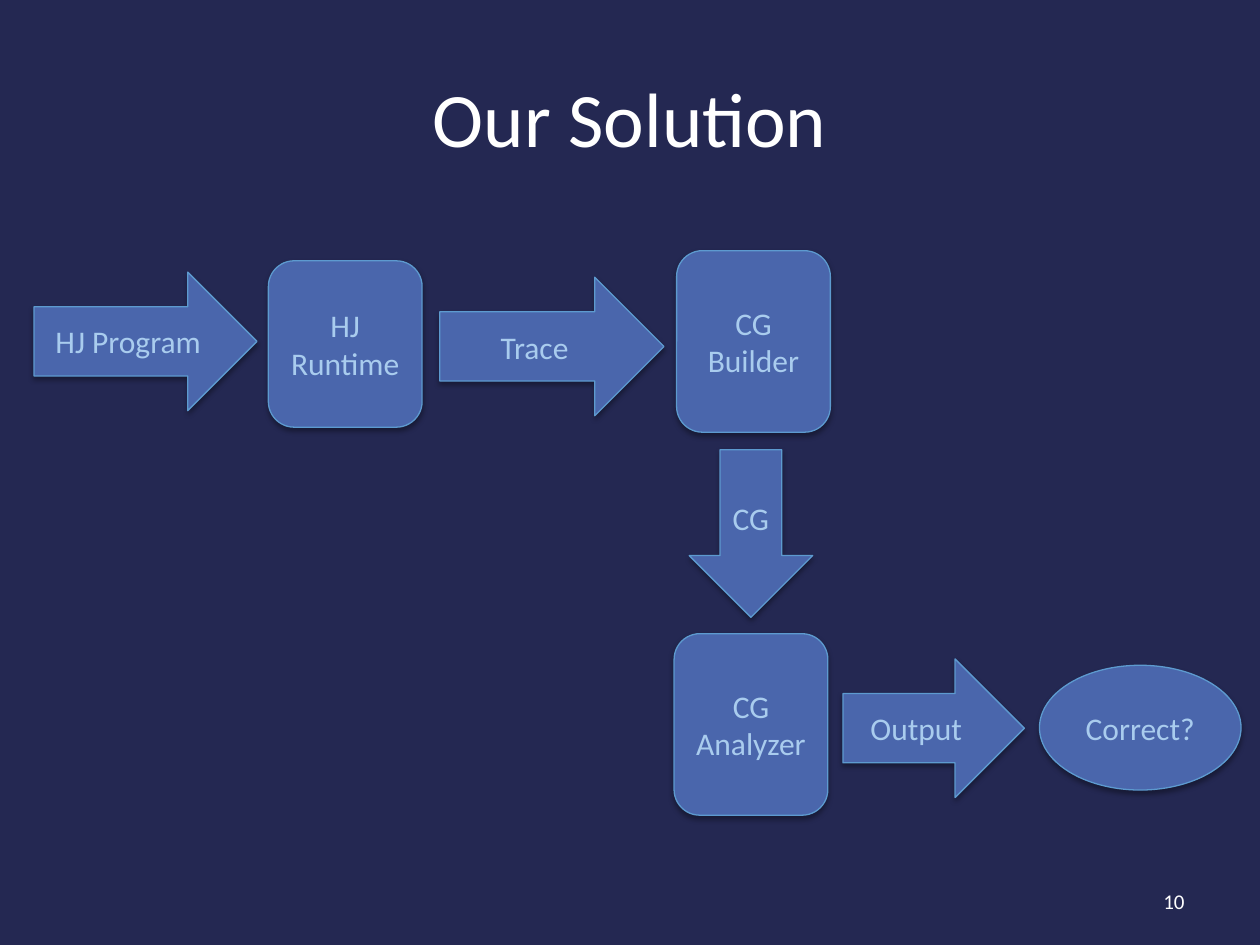
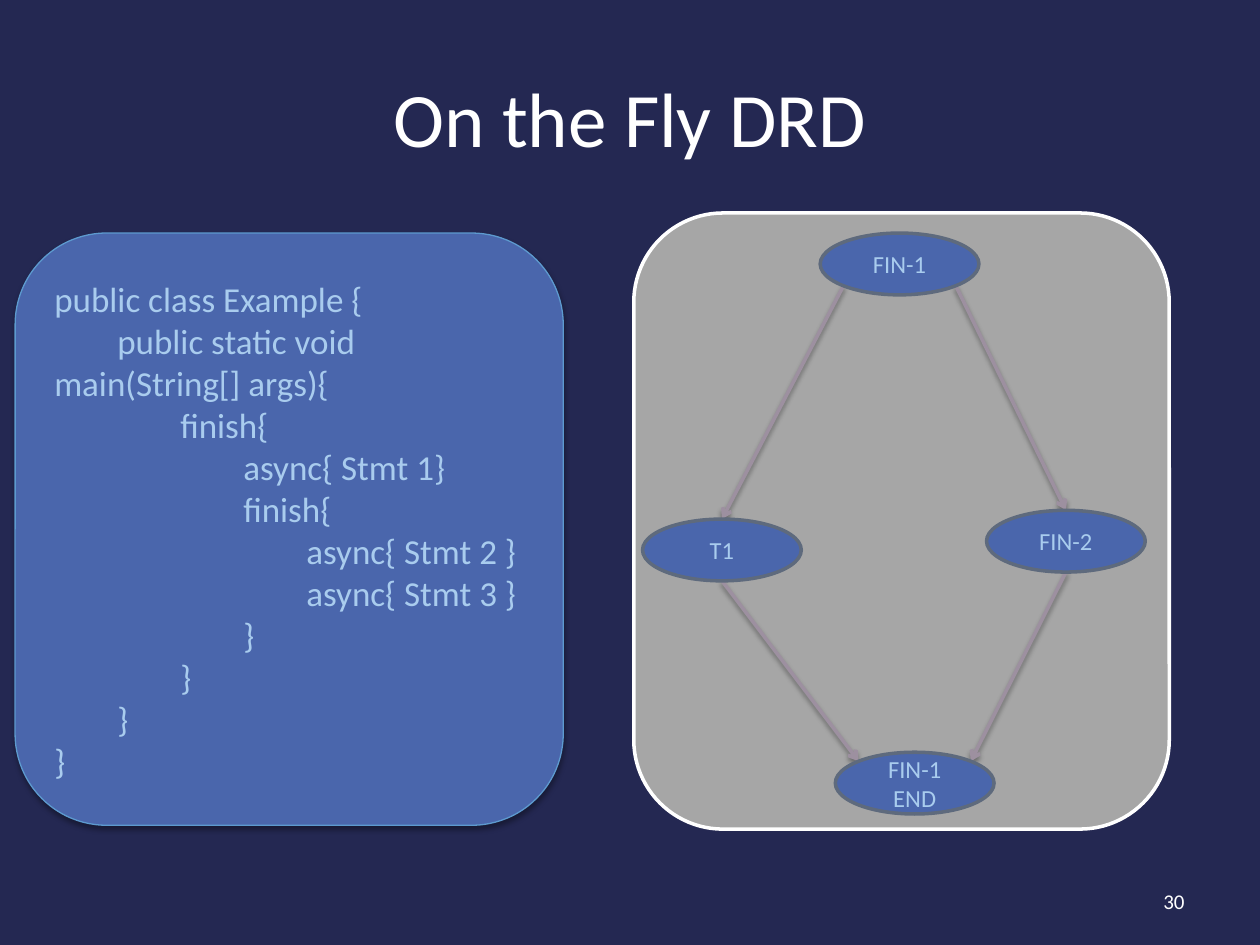
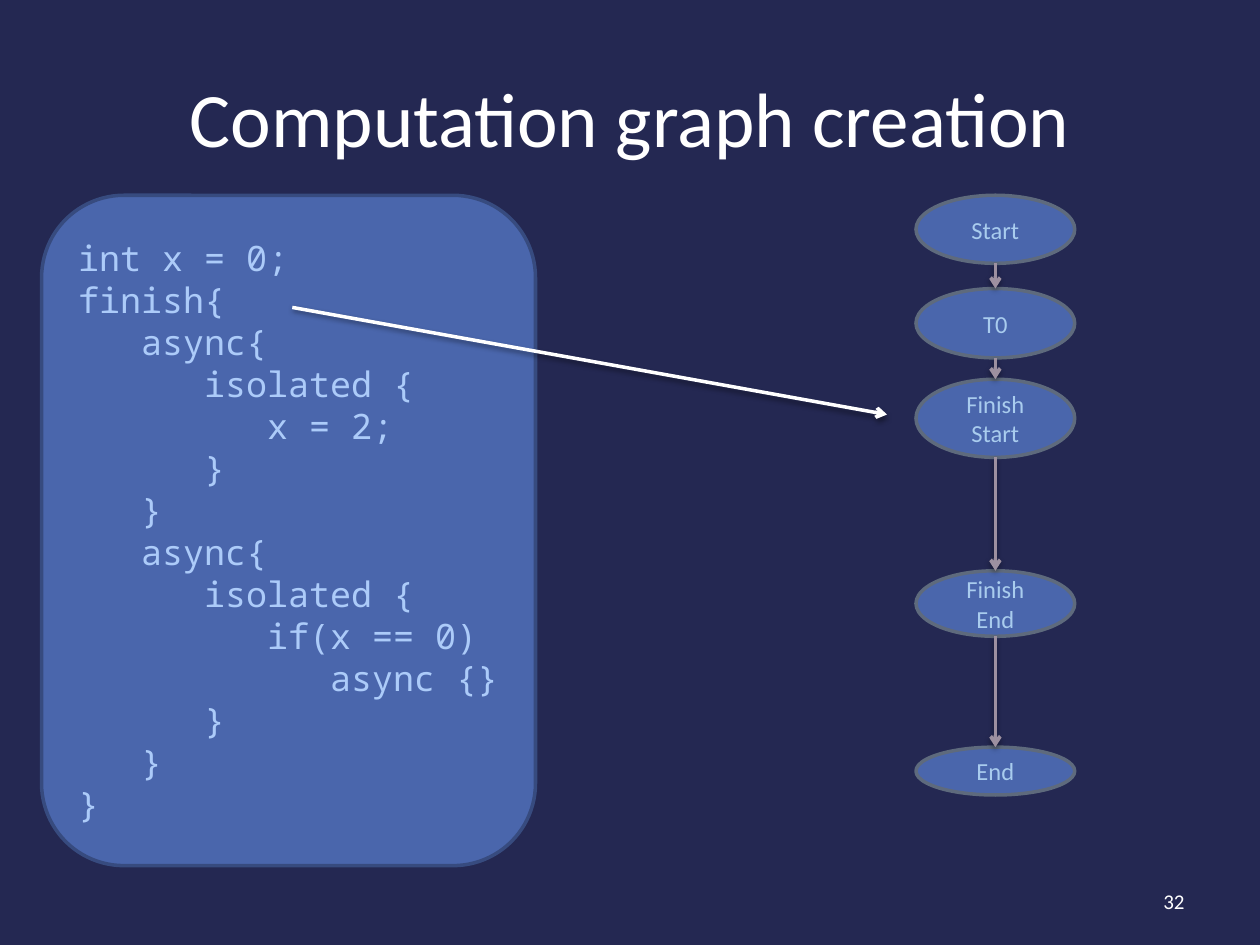
from dataclasses import dataclass
from itertools import pairwise
from lxml.etree import SubElement
from pptx import Presentation
from pptx.dml.color import RGBColor
from pptx.enum.shapes import MSO_CONNECTOR, MSO_SHAPE as Shape
from pptx.enum.text import MSO_ANCHOR as Anchor, PP_ALIGN as Align
from pptx.oxml.ns import qn
from pptx.util import Inches, Pt


@dataclass(frozen=True)
class Theme:
    background: str = "242852"
    fill: str = "4A66AC"
    border: str = "5D9ACF"
    node_border: str = "5E6A7D"
    code_border: str = "374B7F"
    panel: str = "A6A6A6"
    edge: str = "9D90A0"
    white: str = "FFFFFF"
    text: str = "A9CCEE"
    mono_text: str = "ACCBF9"
    font: str = "Calibri"
    mono: str = "Noto Sans Mono"
    title_size: int = 44
    code_size: int = 20
    flow_size: int = 18
    node_size: int = 14
    number_size: int = 12
    thin: float = 0.75
    thick: float = 2
    tab: float = 0.5


THEME = Theme()
WIDTH, HEIGHT = 10, 7.5
TITLE_AREA = (0.5, 0.3, 9, 1.25)
NUMBER_AREA = (7.17, 6.95, 2.33, 0.4)
BOX_SHADOW = (35, 3.1, 1.8)
LINE_SHADOW = (38, 3.1, 1.6)

FLOW = [
    (Shape.ROUNDED_RECTANGLE, "CG Analyzer", (5.35, 5.03, 1.22, 1.44)),
    (Shape.DOWN_ARROW, "CG", (5.47, 3.57, 0.98, 1.33)),
    (Shape.ROUNDED_RECTANGLE, "CG Builder", (5.37, 1.99, 1.22, 1.44)),
    (Shape.ROUNDED_RECTANGLE, "HJ\nRuntime", (2.13, 2.07, 1.22, 1.32)),
    (Shape.RIGHT_ARROW, "HJ Program", (0.27, 2.16, 1.77, 1.1)),
    (Shape.RIGHT_ARROW, "Trace", (3.49, 2.2, 1.78, 1.1)),
    (Shape.RIGHT_ARROW, "Output", (6.69, 5.23, 1.44, 1.1)),
    (Shape.OVAL, "Correct?", (8.25, 5.28, 1.6, 0.99)),
]

EXAMPLE_AREA = (0.12, 1.85, 4.35, 4.7)
EXAMPLE_CODE = [
    (0, "public class Example {"),
    (1, "public static void\vmain(String[] args){"),
    (2, "finish{"),
    (3, "async{ Stmt 1}"),
    (3, "finish{"),
    (4, "async{ Stmt 2 }"),
    (4, "async{ Stmt 3 }"),
    (3, "}"),
    (2, "}"),
    (1, "}"),
    (0, "}"),
]
GRAPH_PANEL = (5.03, 1.69, 4.25, 4.89)
NODE_WIDTH, NODE_HEIGHT = 1.26, 0.49
GRAPH_NODES = {
    "first": ("FIN-1", 6.51, 1.85),
    "task": ("T1", 5.1, 4.12),
    "second": ("FIN-2", 7.83, 4.05),
    "last": ("FIN-1\nEND", 6.63, 5.97),
}
DIAGONAL = 0.5 ** 0.5
SITES = {
    "top": (0, -1),
    "bottom": (0, 1),
    "top left": (-DIAGONAL, -DIAGONAL),
    "top right": (DIAGONAL, -DIAGONAL),
    "bottom left": (-DIAGONAL, DIAGONAL),
    "bottom right": (DIAGONAL, DIAGONAL),
}
GRAPH_EDGES = [
    ("first", "bottom right", "second", "top"),
    ("second", "bottom", "last", "top right"),
    ("first", "bottom left", "task", "top"),
    ("task", "bottom", "last", "top left"),
]

ISOLATED_AREA = (0.33, 1.55, 3.92, 5.32)
ISOLATED_CODE = [
    (0, "int x = 0;"),
    (0, "finish{"),
    (1, "async{"),
    (2, "isolated {"),
    (3, "x = 2;"),
    (2, "}"),
    (1, "}"),
    (1, "async{"),
    (2, "isolated {"),
    (3, "if(x == 0)"),
    (4, "async {}"),
    (2, "}"),
    (1, "}"),
    (0, "}"),
]
CHAIN_CENTER = 7.9
CHAIN = [
    ("Start", 1.55, 0.54),
    ("T0", 2.29, 0.55),
    ("Finish\nStart", 3.01, 0.62),
    ("Finish\nEnd", 4.53, 0.52),
    ("End", 5.93, 0.38),
]
FINISH_POINTER = ((2.32, 2.44), (7.04, 3.29))


def rgb(color):
    return RGBColor.from_string(color)


def inches(values):
    return [Inches(value) for value in values]


def write(box, lines, size, color, align, font=THEME.font):
    frame = box.text_frame
    frame.word_wrap = True
    frame.vertical_anchor = Anchor.MIDDLE
    for index, (depth, text) in enumerate(lines):
        para = frame.paragraphs[0] if index == 0 else frame.add_paragraph()
        para.text = text
        para.alignment = align
        para.font.size = Pt(size)
        para.font.name = font
        para.font.color.rgb = rgb(color)
        if depth:
            para._p.get_or_add_pPr().set("indent", str(Inches(depth * THEME.tab)))


def plain(text):
    return [(0, line) for line in text.split("\n")]


def cast_shadow(effects, opacity, blur, distance):
    shadow = SubElement(effects, qn("a:outerShdw"), blurRad=str(Pt(blur)), dist=str(Pt(distance)),
                        dir="5400000", rotWithShape="0")
    color = SubElement(shadow, qn("a:srgbClr"), val="000000")
    SubElement(color, qn("a:alpha"), val=str(opacity * 1000))


def add_box(page, kind, area, border, weight, fill=THEME.fill, shadow=False):
    box = page.shapes.add_shape(kind, *inches(area))
    box.fill.solid()
    box.fill.fore_color.rgb = rgb(fill)
    box.line.color.rgb = rgb(border)
    box.line.width = Pt(weight)
    box.shadow.inherit = False
    if shadow:
        cast_shadow(box._element.spPr.find(qn("a:effectLst")), *BOX_SHADOW)
    return box


def add_node(page, label, area):
    node = add_box(page, Shape.OVAL, area, THEME.node_border, THEME.thick)
    write(node, plain(label), THEME.node_size, THEME.text, Align.CENTER)


def add_arrow(page, start, end, color=THEME.edge):
    arrow = page.shapes.add_connector(MSO_CONNECTOR.STRAIGHT, *inches(start + end))
    arrow.line.color.rgb = rgb(color)
    arrow.line.width = Pt(THEME.thick)
    properties = arrow._element.spPr
    SubElement(properties.find(qn("a:ln")), qn("a:tailEnd"), type="arrow")
    cast_shadow(SubElement(properties, qn("a:effectLst")), *LINE_SHADOW)


def add_page(deck, title, number):
    page = deck.slides.add_slide(deck.slide_layouts[6])
    for area, text, size, align in [
        (TITLE_AREA, title, THEME.title_size, Align.CENTER),
        (NUMBER_AREA, str(number), THEME.number_size, Align.RIGHT),
    ]:
        box = page.shapes.add_textbox(*inches(area))
        write(box, plain(text), size, THEME.white, align)
    return page


def site_point(name, site):
    _, left, top = GRAPH_NODES[name]
    across, down = SITES[site]
    return left + NODE_WIDTH * (1 + across) / 2, top + NODE_HEIGHT * (1 + down) / 2


def build_solution(deck):
    page = add_page(deck, "Our Solution", 10)
    for kind, label, area in FLOW:
        step = add_box(page, kind, area, THEME.border, THEME.thin, shadow=True)
        write(step, plain(label), THEME.flow_size, THEME.text, Align.CENTER)


def build_detection(deck):
    page = add_page(deck, "On the Fly DRD", 30)
    add_box(page, Shape.ROUNDED_RECTANGLE, GRAPH_PANEL, THEME.white, THEME.thick, THEME.panel)
    for source, leave, target, enter in GRAPH_EDGES:
        add_arrow(page, site_point(source, leave), site_point(target, enter))
    for label, left, top in GRAPH_NODES.values():
        add_node(page, label, (left, top, NODE_WIDTH, NODE_HEIGHT))
    code = add_box(page, Shape.ROUNDED_RECTANGLE, EXAMPLE_AREA, THEME.border, THEME.thin, shadow=True)
    write(code, EXAMPLE_CODE, THEME.code_size, THEME.text, Align.LEFT)


def build_creation(deck):
    page = add_page(deck, "Computation graph creation", 32)
    for label, top, height in CHAIN:
        add_node(page, label, (CHAIN_CENTER - NODE_WIDTH / 2, top, NODE_WIDTH, height))
    for (_, top, height), (_, next_top, _) in pairwise(CHAIN):
        add_arrow(page, (CHAIN_CENTER, top + height), (CHAIN_CENTER, next_top))
    code = add_box(page, Shape.ROUNDED_RECTANGLE, ISOLATED_AREA, THEME.code_border, THEME.thick)
    write(code, ISOLATED_CODE, THEME.code_size, THEME.mono_text, Align.LEFT, THEME.mono)
    add_arrow(page, *FINISH_POINTER, THEME.white)


def main():
    deck = Presentation()
    deck.slide_width, deck.slide_height = inches((WIDTH, HEIGHT))
    backdrop = deck.slide_master.background.fill
    backdrop.solid()
    backdrop.fore_color.rgb = rgb(THEME.background)
    for build in (build_solution, build_detection, build_creation):
        build(deck)
    deck.save("out.pptx")


if __name__ == "__main__":
    main()
